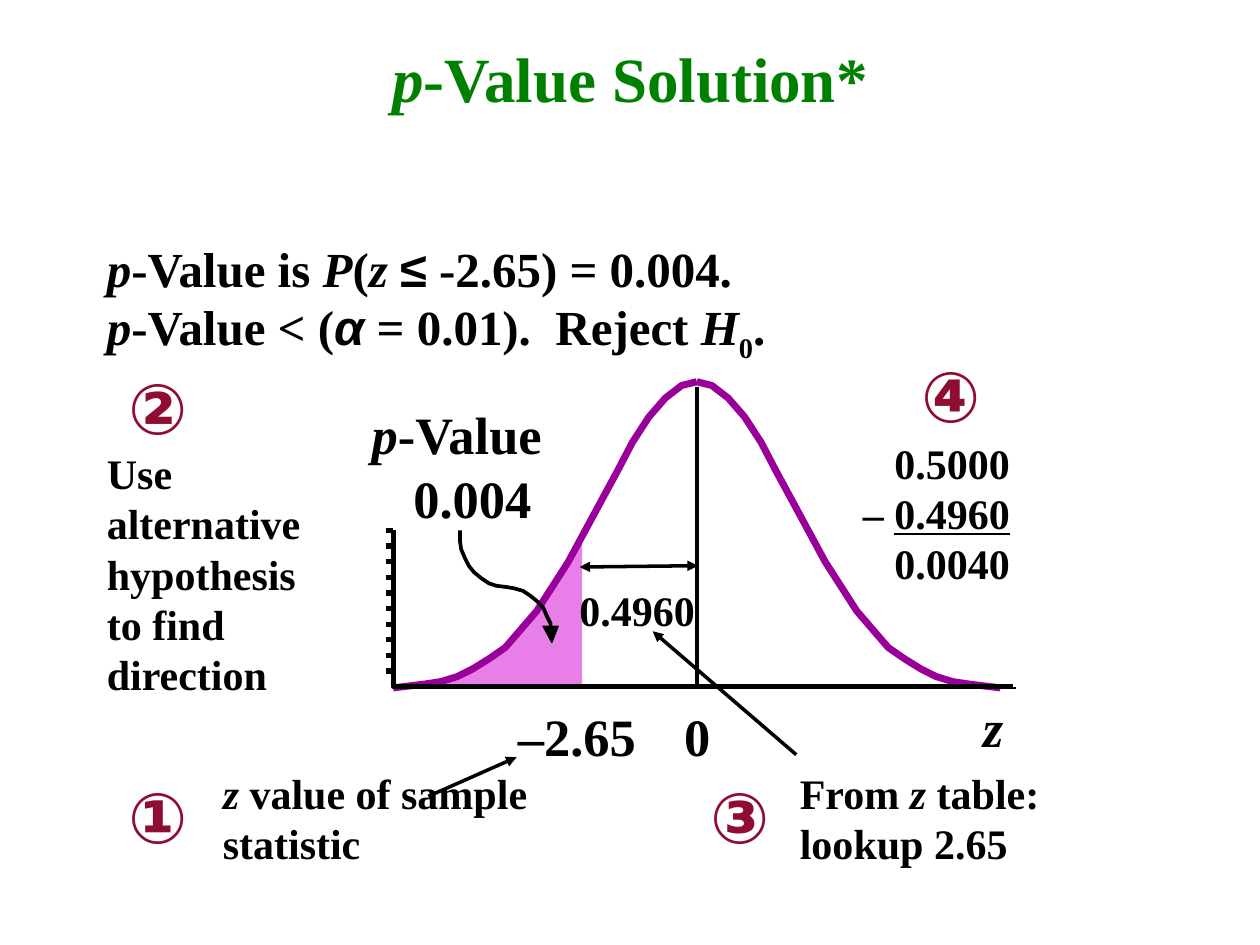
from pptx import Presentation, util as u
from pptx.dml.color import RGBColor
from pptx.enum import shapes, text
from pptx.oxml.ns import qn
from lxml import etree

BLACK = RGBColor(0, 0, 0)
GREEN = RGBColor(0, 0x80, 0)
WINE = RGBColor(0x8E, 0x0D, 0x30)
PURPLE = RGBColor(0x99, 0, 0x99)
PINK = RGBColor(0xD2, 0, 0xD2)
SERIF, SANS = "Times New Roman", "Arial"

# Content: runs are (text, flags); i italic, u underline, a Arial, s subscript
TITLE = [("p", "i"), ("-Value Solution*", "")]
# left, top, width, height in inches, then the runs
NOTES = [
    (0.75, 3.5, 2, 2.09, [("Use alternative hypothesis to find direction", "")]),
    (1.67, 6.04, 2.83, 0.9, [("z", "i"), (" value of sample statistic", "")]),
    (6.25, 6.04, 2.33, 0.9, [("From ", ""), ("z", "i"), (" table: lookup 2.65", "")]),
    (4.5, 4.59, 1.2, 0.5, [("0.4960", "")]),
    (6.75, 3.42, 1.58, 1.31, [("\t0.5000\n–\t", ""), ("0.4960\n", "u"), ("\t0.0040", "")]),
]
LABELS = [
    (7.8, 5.52, 0.16, 0.5, [("z", "i")]),
    (5.43, 5.59, 0.21, 0.5, [("0", "")]),
    (4.11, 5.59, 0.94, 0.5, [("–2.65", "")]),
    (2.95, 3.19, 1.39, 0.5, [("p", "i"), ("-Value", "")]),
    (3.28, 3.7, 0.95, 0.51, [("0.004", "")]),
]
STEPS = [(0.88, 6.09, "①"), (0.88, 2.84, "②"), (5.5, 6.09, "③"), (7.17, 2.75, "④")]
RESULT = [
    ("p", "i"), ("-Value is ", ""), ("P", "i"), ("(", ""), ("z ", "i"), ("≤", "a"),
    (" -2.65) = 0.004.\n", ""), ("p", "i"), ("-Value < (", ""), ("α", "ai"),
    (" = 0.01).  Reject ", ""), ("H", "i"), ("0", "s"), (".", ""),
]

# Drawing points in inches
MID, LEFT, RIGHT, TOP, BASE = 5.53, 3.12, 8.04, 4.21, 5.45
HALF = [
    (3.12, 5.46), (3.37, 5.43), (3.5, 5.41), (3.63, 5.37), (3.75, 5.31), (3.88, 5.23),
    (4.01, 5.14), (4.26, 4.85), (4.51, 4.46), (4.77, 3.98), (4.9, 3.74), (5.02, 3.51),
    (5.15, 3.31), (5.28, 3.16), (5.41, 3.06), (5.53, 3.03),
]
TAIL = [
    (4.62, 4.25), (4.62, 5.45), (3.48, 5.45), (3.62, 5.38), (3.75, 5.31), (3.88, 5.22),
    (4, 5.13), (4.11, 5.03), (4.22, 4.91), (4.32, 4.79), (4.41, 4.66), (4.49, 4.53),
    (4.56, 4.39),
]
SWOOP = [
    (3.65, 4.21), (3.65, 4.29), (3.66, 4.36), (3.69, 4.43), (3.72, 4.49), (3.76, 4.54),
    (3.82, 4.59), (3.88, 4.63), (3.94, 4.65), (4.02, 4.66), (4.08, 4.67), (4.15, 4.69),
    (4.21, 4.73), (4.26, 4.77), (4.31, 4.82), (4.34, 4.89), (4.37, 4.95), (4.37, 4.97),
]
BARB = [(4.43, 4.97), (4.38, 5.1), (4.31, 4.97)]
ARROWS = [
    ((4.1, 6.01), (3.4, 6.32), ["headEnd"]),
    ((5.18, 5.01), (6.32, 5.99), ["headEnd"]),
    ((4.6, 4.5), (5.54, 4.49), ["headEnd", "tailEnd"]),
]

prs = Presentation()


def inch(val):
    return u.Cm(val * 2.54)


def put(obj, vals):
    for key, val in vals.items():
        setattr(obj, key, val)


def write(par, runs, size, color, face=SERIF):
    for words, flags in runs:
        for num, part in enumerate(words.split("\n")):
            if num:
                par.add_line_break()
            if not part:
                continue
            run = par.add_run()
            run.text = part
            put(run.font, {"size": u.Pt(size), "bold": True, "italic": "i" in flags,
                           "underline": "u" in flags,
                           "name": SANS if "a" in flags else face})
            run.font.color.rgb = color
            if "s" in flags:
                run.font._element.set("baseline", "-25000")


def label(box, runs, size, color=BLACK, face=SERIF, wrap=True, align=text.PP_ALIGN.LEFT):
    frame = slide.shapes.add_textbox(*map(inch, box)).text_frame
    padx, pady = (0.1, 0.05) if wrap else (0, 0)
    put(frame, {"word_wrap": wrap, "auto_size": text.MSO_AUTO_SIZE.SHAPE_TO_FIT_TEXT,
                "margin_left": inch(padx), "margin_right": inch(padx),
                "margin_top": inch(pady), "margin_bottom": inch(pady)})
    par = frame.paragraphs[0]
    par.alignment = align
    write(par, runs, size, color, face)
    return par


def stroke(shape, color, width):
    shape.line.color.rgb = color
    shape.line.width = u.Pt(width)


def line(start, end, width, ends=()):
    con = slide.shapes.add_connector(
        shapes.MSO_CONNECTOR.STRAIGHT, *map(inch, (*start, *end)))
    stroke(con, BLACK, width)
    for tag in ends:
        etree.SubElement(con.line._get_or_add_ln(), qn("a:" + tag), type="triangle")
    etree.SubElement(con._element.spPr, qn("a:effectLst"))


def outline(pts, color=BLACK, width=0, fill=None):
    spots = [(inch(x), inch(y)) for x, y in pts]
    pen = slide.shapes.build_freeform(*spots[0])
    pen.add_line_segments(spots[1:], close=fill is not None)
    shape = pen.convert_to_shape()
    shape.shadow.inherit = False
    if fill is None:
        shape.fill.background()
    else:
        shape.fill.solid()
        shape.fill.fore_color.rgb = fill
    if width:
        stroke(shape, color, width)
    else:
        shape.line.fill.background()
    return shape


# Slide and title
put(prs, {"slide_width": inch(10), "slide_height": inch(7.5)})
slide = prs.slides.add_slide(prs.slide_layouts[5])
title = slide.shapes.title
put(title, {"left": inch(0.5), "top": inch(0.3), "width": inch(9), "height": inch(0.62)})
put(title.text_frame, {"vertical_anchor": text.MSO_ANCHOR.MIDDLE, "word_wrap": True,
                       "auto_size": text.MSO_AUTO_SIZE.NONE})
head = title.text_frame.paragraphs[0]
head.alignment = text.PP_ALIGN.CENTER
write(head, TITLE, 36, GREEN)

# Shaded tail, half transparent
area = outline(TAIL, fill=PINK)
tint = area._element.spPr.find(qn("a:solidFill"))[0]
etree.SubElement(tint, qn("a:alpha"), val="50000")

# Bell curve and axes
line((MID, 3.07), (MID, 5.47), 2.13)
outline([(2 * MID - x, y) for x, y in HALF], PURPLE, 4)
outline(HALF, PURPLE, 4)
outline([(LEFT, TOP), (LEFT, BASE), (RIGHT, BASE)], width=3)
for num in range(10):
    y = TOP + num * (BASE - TOP) / 10
    x = RIGHT - num * (RIGHT - LEFT) / 10
    line((LEFT - 0.06, y), (LEFT, y), 3)
    line((x, BASE), (x, BASE + 0.02), 3)

# Arrows
for start, end, ends in ARROWS:
    line(start, end, 2, ends)
outline(SWOOP, width=2.13)
outline(BARB, width=0.75, fill=BLACK)

# Text
for *box, runs in LABELS:
    label(box, runs, 30, wrap=False)
for *box, runs in NOTES:
    par = label(box, runs, 24)
    if "\t" in runs[0][0]:
        tabs = etree.SubElement(par._p.get_or_add_pPr(), qn("a:tabLst"))
        etree.SubElement(tabs, qn("a:tab"), pos=str(inch(0.25)), algn="l")
for x, y, mark in STEPS:
    label((x, y, 0.75, 0.76), [(mark, "")], 40, WINE, SANS, align=text.PP_ALIGN.CENTER)
label((0.75, 1.84, 6.91, 1.03), RESULT, 28)

prs.save("out.pptx")
